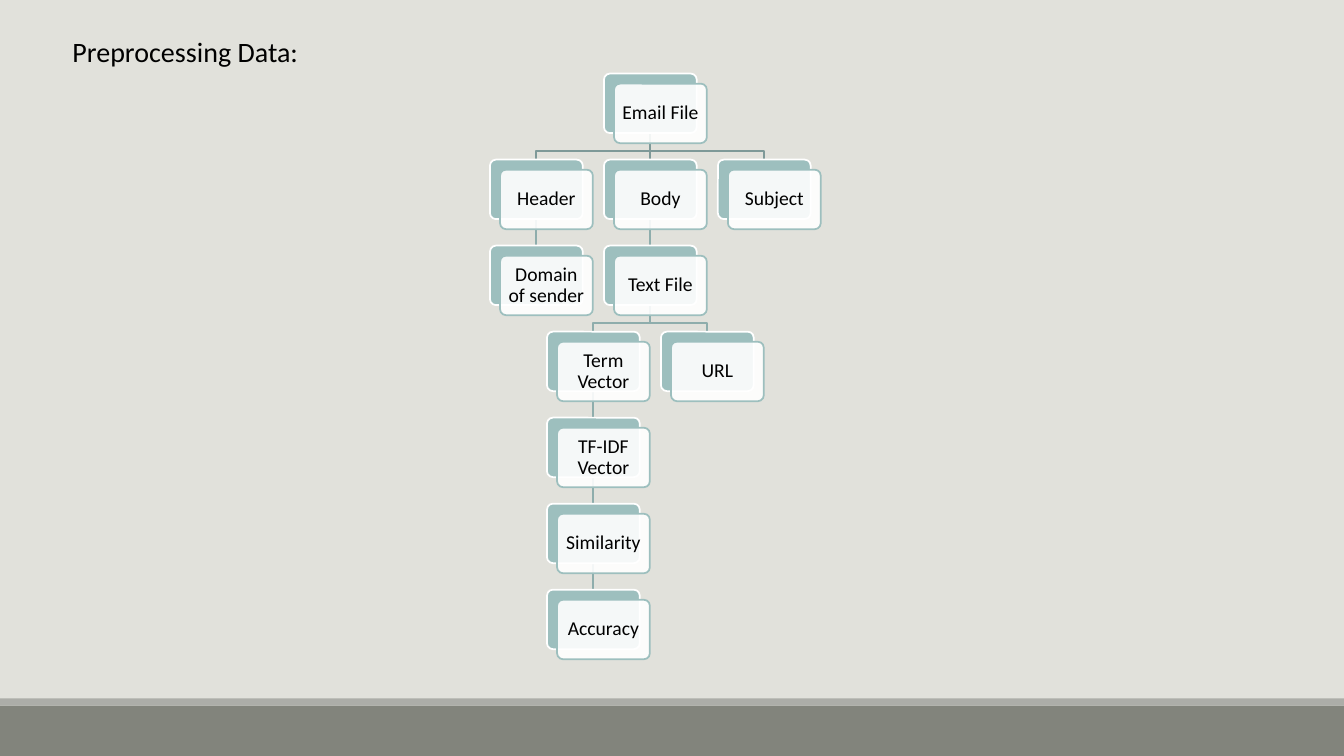
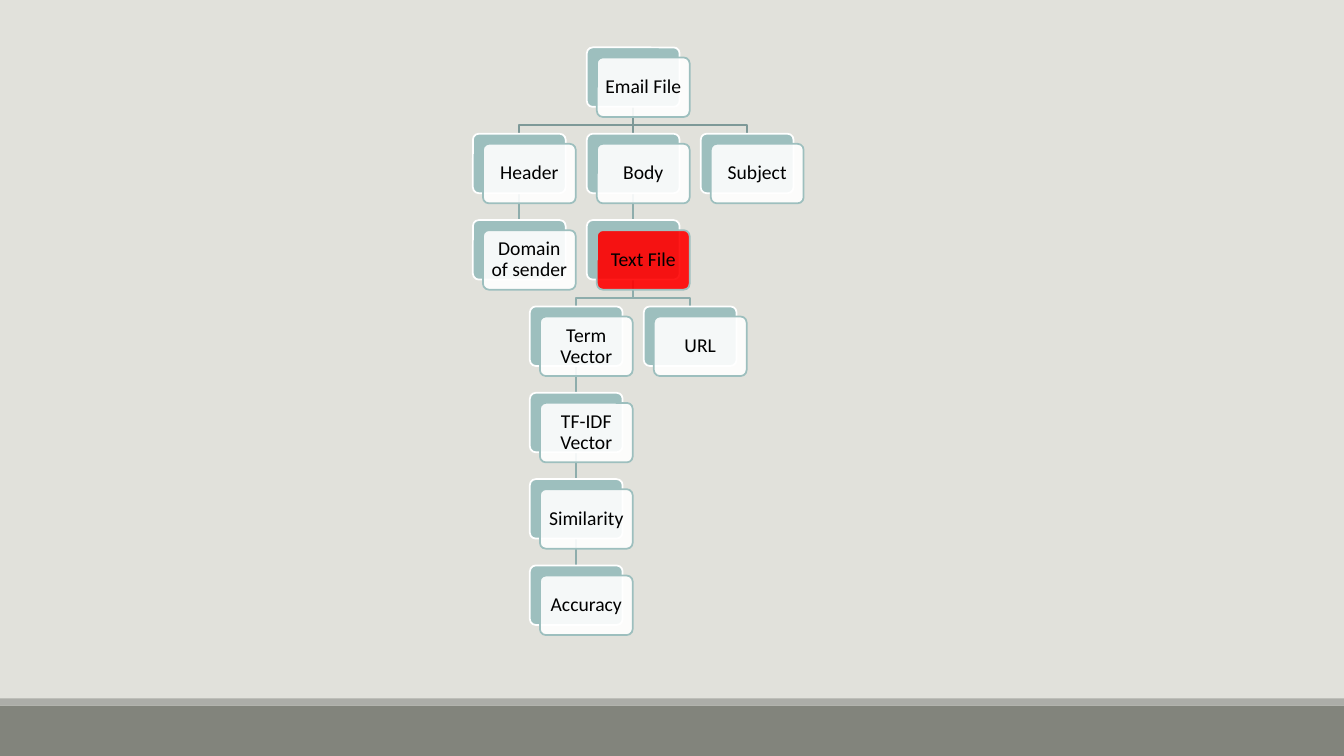
import dataclasses
import typing

import lxml.etree
import pptx
import pptx.dml.color
import pptx.enum.shapes
import pptx.enum.text
import pptx.oxml.ns
import pptx.presentation
import pptx.shapes.base
import pptx.slide
import pptx.text.text
import pptx.util

SLIDE_W, SLIDE_H = 13.33, 7.5
COLORS = {
    "background": "E1E1DB",
    "band": "82847C",
    "band_edge": "ACADA8",
    "back_card": "9DBFBE",
    "card": "FFFFFF",
    "highlight": "FF0000",
    "root_link": "7E9998",
    "link": "8EADAC",
    "text": "000000",
}
FONT = "Calibri"
SHAPES = pptx.enum.shapes.MSO_SHAPE

# Tree geometry in inches
COL_PITCH = 1.13
CARD_W, CARD_H = 0.92, 0.59
CARD_SHIFT = 0.1
ELBOW_DROP = 0.18
LINE_PT = 1.25

CARD_FRAME = {
    "word_wrap": True,
    "vertical_anchor": pptx.enum.text.MSO_ANCHOR.MIDDLE,
    **{f"margin_{side}": pptx.util.Inches(0.05) for side in ("left", "top", "right", "bottom")},
}
CARD_PARAGRAPH = {"alignment": pptx.enum.text.PP_ALIGN.CENTER, "line_spacing": 0.9}


@dataclasses.dataclass(frozen=True)
class Node:
    text: str
    col: float
    row: int
    parent: typing.Optional[str] = None


@dataclasses.dataclass(frozen=True)
class Tree:
    left: float
    top: float
    last_top: float
    title: str = ""
    highlight: str = ""

    def corner(self, node: Node) -> tuple[float, float]:
        pitch = (self.last_top - self.top) / LAST_ROW
        return self.left + node.col * COL_PITCH, self.top + node.row * pitch


NODES = [
    Node("Email File", 1, 0),
    Node("Header", 0, 1, "Email File"),
    Node("Domain of sender", 0, 2, "Header"),
    Node("Body", 1, 1, "Email File"),
    Node("Text File", 1, 2, "Body"),
    Node("Term Vector", 0.5, 3, "Text File"),
    Node("TF-IDF Vector", 0.5, 4, "Term Vector"),
    Node("Similarity", 0.5, 5, "TF-IDF Vector"),
    Node("Accuracy", 0.5, 6, "Similarity"),
    Node("URL", 1.5, 3, "Text File"),
    Node("Subject", 2, 1, "Email File"),
]
BY_TEXT = {node.text: node for node in NODES}
LAST_ROW = max(node.row for node in NODES)

TREES = [
    Tree(left=4.86, top=0.73, last_top=5.85, title="Preprocessing Data:"),
    Tree(left=4.69, top=0.47, last_top=5.61, highlight="Text File"),
]


def rgb(name: str) -> pptx.dml.color.RGBColor:
    return pptx.dml.color.RGBColor.from_string(COLORS[name])


def inches(*values: float) -> list[int]:
    return [pptx.util.Inches(v) for v in values]


def apply(target: object, values: dict[str, typing.Any]) -> None:
    for name, value in values.items():
        setattr(target, name, value)


def set_line(sp: pptx.shapes.base.BaseShape, color: str) -> None:
    sp.line.color.rgb = rgb(color)
    sp.line.width = pptx.util.Pt(LINE_PT)


def write(p: pptx.text.text._Paragraph, text: str, size: int) -> None:
    r = p.add_run()
    r.text = text
    apply(r.font, {"name": FONT, "size": pptx.util.Pt(size)})
    r.font.color.rgb = rgb("text")


def add_box(s: pptx.slide.Slide, kind: SHAPES, box: tuple[float, float, float, float],
            fill: str, line: str = "") -> pptx.shapes.base.BaseShape:
    sp = s.shapes.add_shape(kind, *inches(*box))
    sp.shadow.inherit = False
    sp.fill.solid()
    sp.fill.fore_color.rgb = rgb(fill)
    if line:
        set_line(sp, line)
    else:
        sp.line.fill.background()
    return sp


def add_link(s: pptx.slide.Slide, tree: Tree, child: Node) -> None:
    parent = BY_TEXT[child.parent]
    px, py = tree.corner(parent)
    cx, end_y = tree.corner(child)
    start_x, end_x = px + CARD_W / 2, cx + CARD_W / 2
    start_y = py + CARD_H
    color = "link" if parent.parent else "root_link"
    if parent.col == child.col:
        sp = s.shapes.add_connector(pptx.enum.shapes.MSO_CONNECTOR.STRAIGHT,
                                    *inches(start_x, start_y, end_x, end_y))
        set_line(sp, color)
        lxml.etree.SubElement(sp._element.spPr, pptx.oxml.ns.qn("a:effectLst"))
        return
    bend_y = start_y + ELBOW_DROP
    fb = s.shapes.build_freeform(*inches(start_x, start_y))
    corners = [(start_x, bend_y), (end_x, bend_y), (end_x, end_y)]
    fb.add_line_segments([tuple(inches(*c)) for c in corners], close=False)
    sp = fb.convert_to_shape()
    sp.shadow.inherit = False
    sp.fill.background()
    set_line(sp, color)


def add_node(s: pptx.slide.Slide, tree: Tree, node: Node) -> None:
    x, y = tree.corner(node)
    back = add_box(s, SHAPES.ROUNDED_RECTANGLE, (x, y, CARD_W, CARD_H), "back_card", "card")
    fill = "highlight" if node.text == tree.highlight else "card"
    front = add_box(s, SHAPES.ROUNDED_RECTANGLE,
                    (x + CARD_SHIFT, y + CARD_SHIFT, CARD_W, CARD_H), fill, "back_card")
    for sp in (back, front):
        sp.adjustments[0] = 0.1
    # The front card lets the back one show through slightly
    color = front._element.spPr.find(pptx.oxml.ns.qn("a:solidFill"))[0]
    lxml.etree.SubElement(color, pptx.oxml.ns.qn("a:alpha"), val="90000")
    tf = front.text_frame
    apply(tf, CARD_FRAME)
    p = tf.paragraphs[0]
    apply(p, CARD_PARAGRAPH)
    write(p, node.text, 14)


def add_title(s: pptx.slide.Slide, text: str) -> None:
    sp = s.shapes.add_textbox(*inches(0.62, 0.29, 2.59, 0.44))
    sp.text_frame.word_wrap = True
    write(sp.text_frame.paragraphs[0], text, 20)


def add_bands(s: pptx.slide.Slide) -> None:
    add_box(s, SHAPES.RECTANGLE, (0, 7, SLIDE_W, 0.5), "band")
    add_box(s, SHAPES.RECTANGLE, (0, 6.93, SLIDE_W, 0.07), "band_edge")


def add_tree_slide(prs: pptx.presentation.Presentation, tree: Tree) -> None:
    s = prs.slides.add_slide(prs.slide_layouts[6])
    add_bands(s)
    # Links lie behind the cards
    for node in NODES:
        if node.parent:
            add_link(s, tree, node)
    for node in NODES:
        add_node(s, tree, node)
    if tree.title:
        add_title(s, tree.title)


def main() -> None:
    prs = pptx.Presentation()
    prs.slide_width, prs.slide_height = inches(SLIDE_W, SLIDE_H)
    background = prs.slide_master.background.fill
    background.solid()
    background.fore_color.rgb = rgb("background")
    for tree in TREES:
        add_tree_slide(prs, tree)
    prs.save("out.pptx")


if __name__ == "__main__":
    main()
